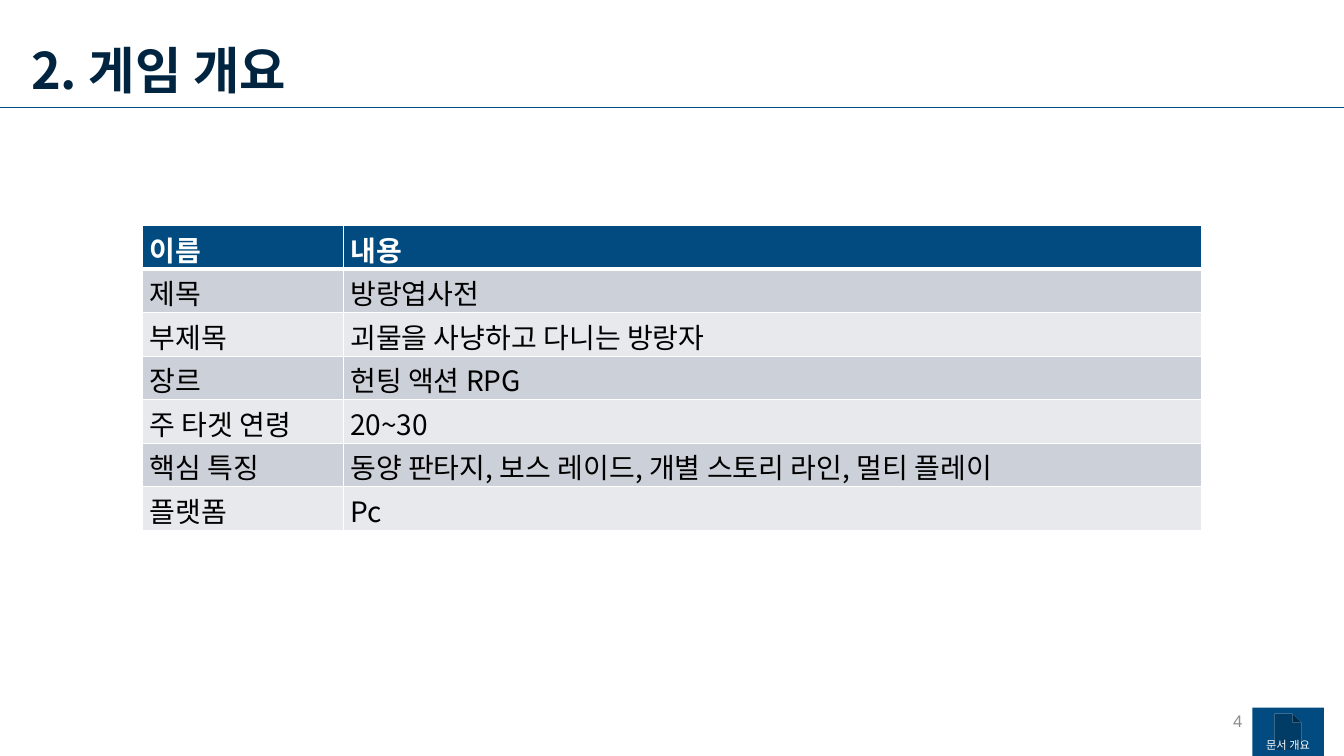
import pptx
import pptx.dml.color
import pptx.enum.shapes
import pptx.enum.text
import pptx.oxml
import pptx.oxml.ns
import pptx.util
from dataclasses import dataclass

HEADING = "2. 게임 개요"
OVERVIEW = [
    ("이름", "내용"),
    ("제목", "방랑엽사전"),
    ("부제목", "괴물을 사냥하고 다니는 방랑자"),
    ("장르", "헌팅 액션 RPG"),
    ("주 타겟 연령", "20~30"),
    ("핵심 특징", "동양 판타지, 보스 레이드, 개별 스토리 라인, 멀티 플레이"),
    ("플랫폼", "Pc"),
]
BUTTON_LABEL = "문서 개요"
PAGE_NUMBER = "4"


@dataclass(frozen=True)
class Theme:
    korean: str = "Noto Sans CJK KR"
    latin: str = "Arial"
    navy: str = "012540"
    blue: str = "024B80"
    bands: tuple = ("E7E9ED", "CCD0D8")
    white: str = "FFFFFF"
    black: str = "000000"
    grey: str = "8C8C8C"
    heading_size: int = 36
    table_size: int = 20
    number_size: int = 12
    button_size: int = 8


THEME = Theme()
WIDTH, HEIGHT = 13.33, 7.5
RULE_Y = 1.07
COLUMNS = (1.99, 8.51)
ROW_HEIGHT = 0.43
TABLE_TOP = 2.24
BUTTON = (12.42, 7.02, 0.71, 0.48)

inches = pptx.util.Inches
rgb = pptx.dml.color.RGBColor.from_string
Align = pptx.enum.text.PP_ALIGN
Anchor = pptx.enum.text.MSO_ANCHOR


def box(left, top, width, height):
    return [inches(value) for value in (left, top, width, height)]


def write(frame, text, size, color, font, align, bold=False):
    frame.text = text
    paragraph = frame.paragraphs[0]
    paragraph.alignment = align
    for run in paragraph.runs:
        run.font.size = pptx.util.Pt(size)
        run.font.bold = bold
        run.font.color.rgb = rgb(color)
        run.font.name = font
        east_asian = pptx.oxml.parse_xml(
            f'<a:ea {pptx.oxml.ns.nsdecls("a")} typeface="{THEME.korean}"/>')
        run.font._element.append(east_asian)
    return paragraph


def border_cell(cell, weights):
    """Draw white borders; weights gives points for the L, R, T and B sides."""
    properties = cell._tc.get_or_add_tcPr()
    for index, (side, weight) in enumerate(weights.items()):
        properties.insert(index, pptx.oxml.parse_xml(
            f'<a:ln{side} {pptx.oxml.ns.nsdecls("a")} w="{pptx.util.Pt(weight)}">'
            f'<a:solidFill><a:srgbClr val="{THEME.white}"/></a:solidFill>'
            f'</a:ln{side}>'))


def add_heading(slide):
    rule = slide.shapes.add_connector(
        pptx.enum.shapes.MSO_CONNECTOR.STRAIGHT,
        0, inches(RULE_Y), inches(WIDTH), inches(RULE_Y))
    rule.line.color.rgb = rgb(THEME.blue)
    rule.line.width = pptx.util.Pt(0.5)
    rule._element.spPr.append(
        pptx.oxml.parse_xml(f'<a:effectLst {pptx.oxml.ns.nsdecls("a")}/>'))

    heading = slide.shapes.title
    heading.left, heading.top, heading.width, heading.height = box(0.21, 0.33, 4.12, 0.71)
    frame = heading.text_frame
    frame.vertical_anchor = Anchor.MIDDLE
    frame.auto_size = pptx.enum.text.MSO_AUTO_SIZE.NONE
    write(frame, HEADING, THEME.heading_size, THEME.navy, THEME.korean, Align.LEFT, True)


def add_overview(slide):
    width = sum(COLUMNS)
    table = slide.shapes.add_table(
        len(OVERVIEW), len(COLUMNS),
        *box((WIDTH - width) / 2, TABLE_TOP, width, ROW_HEIGHT * len(OVERVIEW))).table
    for column, column_width in zip(table.columns, COLUMNS):
        column.width = inches(column_width)
    for row, entries in enumerate(OVERVIEW):
        table.rows[row].height = inches(ROW_HEIGHT)
        header = row == 0
        for column, entry in enumerate(entries):
            cell = table.cell(row, column)
            cell.margin_left = cell.margin_right = inches(0.07)
            cell.margin_top = cell.margin_bottom = 0
            cell.vertical_anchor = Anchor.TOP if header else Anchor.MIDDLE
            cell.fill.solid()
            cell.fill.fore_color.rgb = rgb(THEME.blue if header else THEME.bands[row % 2])
            border_cell(cell, {"L": 1, "R": 1, "T": 3 if row == 1 else 1,
                               "B": 3 if header else 1})
            paragraph = write(cell.text_frame, entry, THEME.table_size,
                              THEME.white if header else THEME.black,
                              THEME.korean, Align.JUSTIFY, header)
            paragraph.line_spacing = 1.07


def add_footer(slide):
    button = slide.shapes.add_shape(
        pptx.enum.shapes.MSO_SHAPE.ACTION_BUTTON_DOCUMENT, *box(*BUTTON))
    button.shadow.inherit = False
    button.fill.solid()
    button.fill.fore_color.rgb = rgb(THEME.blue)
    button.line.fill.background()
    frame = button.text_frame
    frame.margin_left = frame.margin_right = 0
    frame.margin_bottom = inches(0.04)
    frame.vertical_anchor = Anchor.BOTTOM
    write(frame, BUTTON_LABEL, THEME.button_size, THEME.white, THEME.latin, Align.CENTER)

    number = slide.shapes.add_textbox(*box(BUTTON[0] - 3, 6.95, 3, 0.4)).text_frame
    number.word_wrap = True
    number.vertical_anchor = Anchor.MIDDLE
    write(number, PAGE_NUMBER, THEME.number_size, THEME.grey, THEME.latin, Align.RIGHT)


def main():
    deck = pptx.Presentation()
    deck.slide_width, deck.slide_height = inches(WIDTH), inches(HEIGHT)
    slide = deck.slides.add_slide(deck.slide_layouts.get_by_name("Title Only"))
    add_heading(slide)
    add_overview(slide)
    add_footer(slide)
    deck.save("out.pptx")


if __name__ == "__main__":
    main()
